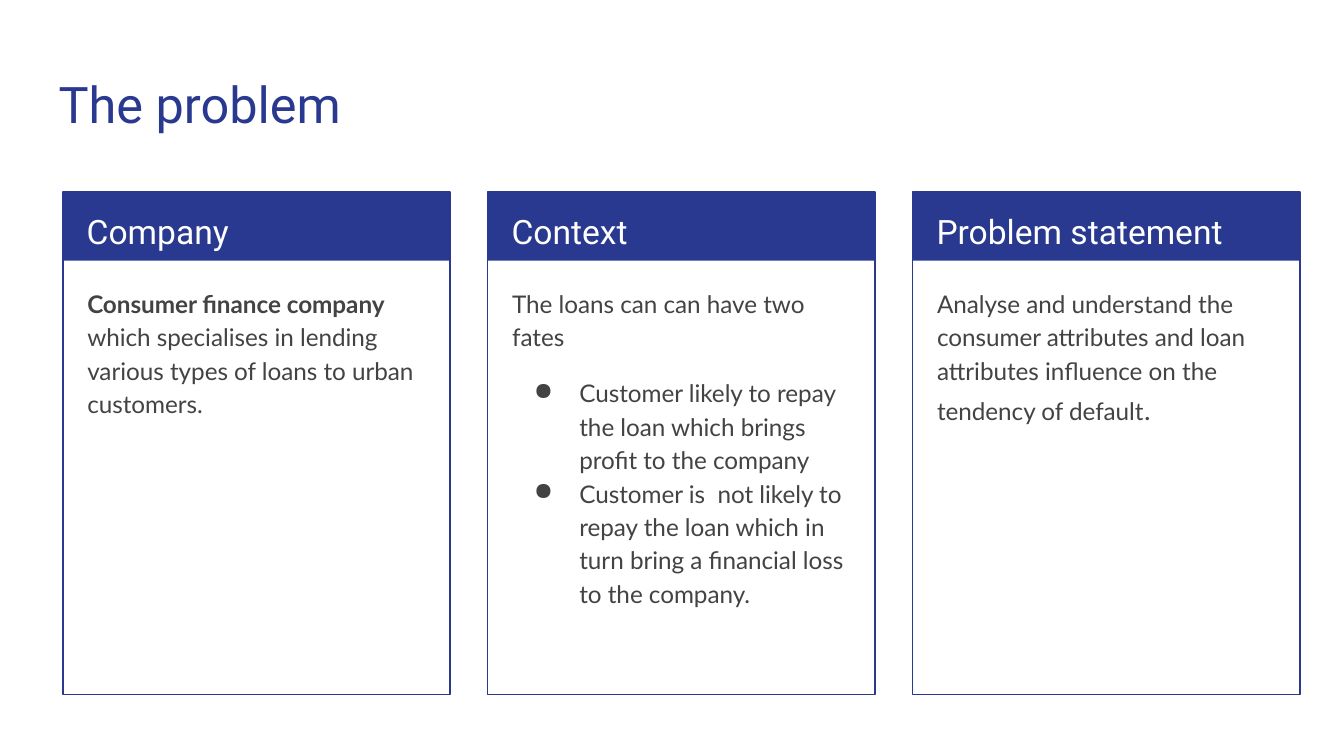
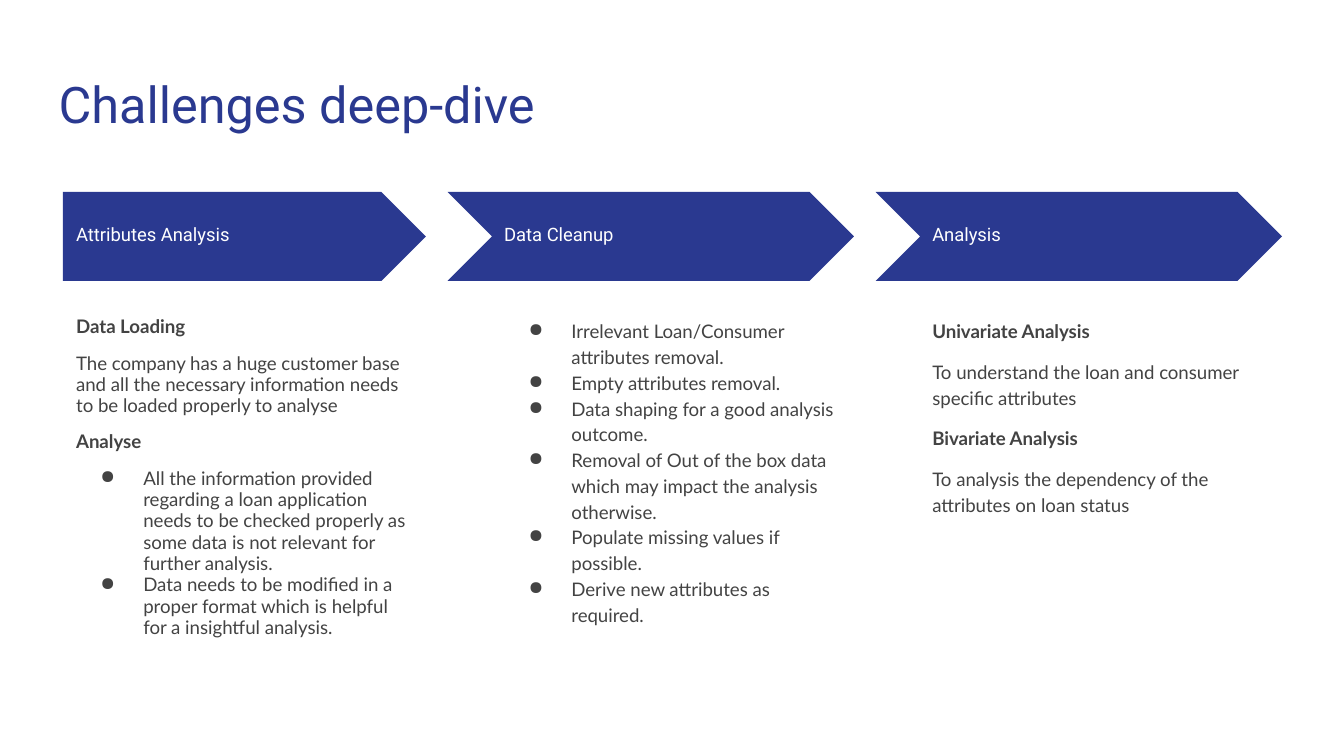
from lxml import etree
from pptx import Presentation
from pptx.dml.color import RGBColor
from pptx.enum import shapes, text
from pptx.oxml.ns import qn
from pptx.util import Cm, Pt

NAVY, GREY, WHITE = "2A3990", "434343", "FFFFFF"
LEFT, TOP = 1.19, 3.63
KIND = shapes.MSO_SHAPE

# A paragraph is (kind, run, ...); a run is text or (text, format).
BOLD = {"bold": True}
CARDS = [
    ("Company", [
        ("plain", ("Consumer finance company", BOLD),
         " which specialises in lending various types of loans to urban customers."),
    ]),
    ("Context", [
        ("plain", "The loans can can have two fates"),
        ("bullet", "Customer likely to repay the loan which brings profit to the company"),
        ("bullet", "Customer is  not likely to repay the loan which in turn bring "
                   "a financial loss to the company."),
    ]),
    ("Problem statement", [
        ("plain", "Analyse and understand the consumer attributes and loan attributes "
                  "influence on the tendency of default",
         (".", {"size": Pt(16), "name": "Roboto"})),
    ]),
]

# Each step: heading, line spacing of the body, paragraphs.
STEPS = [
    ("Attributes Analysis", 0.95, [
        ("plain", ("Data Loading", BOLD)),
        ("plain", "The company has a huge customer base and all the necessary "
                  "information needs to be loaded properly to analyse"),
        ("plain", ("Analyse", BOLD)),
        ("bullet", "All the information provided regarding a loan application needs to be "
                   "checked properly as some data is not relevant for further analysis."),
        ("bullet", "Data needs to be modified in a proper format which is helpful "
                   "for a insightful analysis."),
    ]),
    ("Data Cleanup", 1.15, [
        ("bullet", "Irrelevant Loan/Consumer attributes removal."),
        ("bullet", "Empty attributes removal."),
        ("bullet", "Data shaping for a good analysis outcome."),
        ("bullet", "Removal of Out of the box data which may impact the analysis otherwise."),
        ("bullet", "Populate missing values if possible."),
        ("bullet", "Derive new attributes as required."),
    ]),
    ("Analysis", 1.15, [
        ("plain", ("Univariate Analysis", BOLD)),
        ("plain", "To understand the loan and consumer specific attributes"),
        ("plain", ("Bivariate Analysis", BOLD)),
        ("plain", "To analysis the dependency of the attributes on loan status"),
    ]),
]


def rgb(code):
    return RGBColor.from_string(code)


def bullet(para, hang):
    props = para._p.get_or_add_pPr()
    props.set("marL", str(Cm(1.27)))
    props.set("indent", str(-Cm(hang)))
    tint = etree.SubElement(props, qn("a:buClr"))
    etree.SubElement(tint, qn("a:srgbClr"), val=GREY)
    etree.SubElement(props, qn("a:buChar"), char="●")


def write(slide, box, paras, size, font, color, lead=1.0, gap=0, hang=0.81, mid=False):
    """Text box; gap goes before each paragraph except between bullets."""
    frame = slide.shapes.add_textbox(*map(Cm, box)).text_frame
    anchor = text.MSO_ANCHOR.MIDDLE if mid else text.MSO_ANCHOR.TOP
    look = {"word_wrap": True, "vertical_anchor": anchor}
    for side in ("left", "right", "top", "bottom"):
        look["margin_" + side] = Cm(0.25)
    for key, value in look.items():
        setattr(frame, key, value)
    last = None
    for kind, *runs in paras:
        para = frame.add_paragraph() if last else frame.paragraphs[0]
        para.line_spacing = lead
        if last and (kind, last) != ("bullet", "bullet"):
            para.space_before = Pt(gap)
        if kind == "bullet":
            bullet(para, hang)
        for item in runs:
            words, extra = (item, {}) if isinstance(item, str) else item
            run = para.add_run()
            run.text = words
            run.font.color.rgb = rgb(color)
            for key, value in ({"size": Pt(size), "name": font} | extra).items():
                setattr(run.font, key, value)
        last = kind


def draw(parent, kind, box, fill=None, line=None):
    shape = parent.shapes.add_shape(kind, *map(Cm, box))
    shape.shadow.inherit = False
    if fill:
        shape.fill.solid()
        shape.fill.fore_color.rgb = rgb(fill)
    else:
        shape.fill.background()
    if line:
        shape.line.color.rgb = rgb(line)
        shape.line.width = Pt(0.75)
    else:
        shape.line.fill.background()
    return shape


def start(deck, title):
    slide = deck.slides.add_slide(deck.slide_layouts[6])
    write(slide, (0.86, 1.14, 23.67, 1.68), [("plain", title)], 27, "Roboto", NAVY)
    return slide


def problem(deck):
    slide = start(deck, "The problem")
    wide, pitch = 7.32, 8.03
    for col, (head, paras) in enumerate(CARDS):
        x = LEFT + col * pitch
        group = slide.shapes.add_group_shape()
        draw(group, KIND.RECTANGLE, (x, TOP, wide, 1.3), fill=NAVY)
        draw(group, KIND.RECTANGLE, (x, TOP, wide, 9.5), line=NAVY)
        write(slide, (x + 0.2, TOP, 6.93, 1.27), [("plain", head)],
              18, "Roboto", WHITE, lead=1.15)
        write(slide, (x + 0.21, 5.13, 6.88, 7.77), paras,
              13, "Lato", GREY, lead=1.15, gap=12, hang=0.86)


def process(deck):
    slide = start(deck, "Challenges deep-dive")
    wide, pitch, notch = 6.86, 8.09, 0.82
    for col, (head, lead, paras) in enumerate(STEPS):
        x = LEFT + col * pitch
        kind, back = (KIND.CHEVRON, notch) if col else (KIND.PENTAGON, 0)
        arrow = draw(slide, kind, (x - back, TOP, wide + back, 1.68), fill=NAVY)
        arrow.adjustments[0] = 0.5
        write(slide, (x, 4.04, 6.27, 0.86), [("plain", head)],
              9.9, "Roboto", WHITE, lead=0.8, mid=True)
        write(slide, (x, 5.74, wide, 7.5), paras, 10, "Lato", GREY, lead=lead, gap=8)


def main():
    deck = Presentation()
    deck.slide_width, deck.slide_height = Cm(25.4), Cm(14.29)
    problem(deck)
    process(deck)
    deck.save("out.pptx")


if __name__ == "__main__":
    main()
